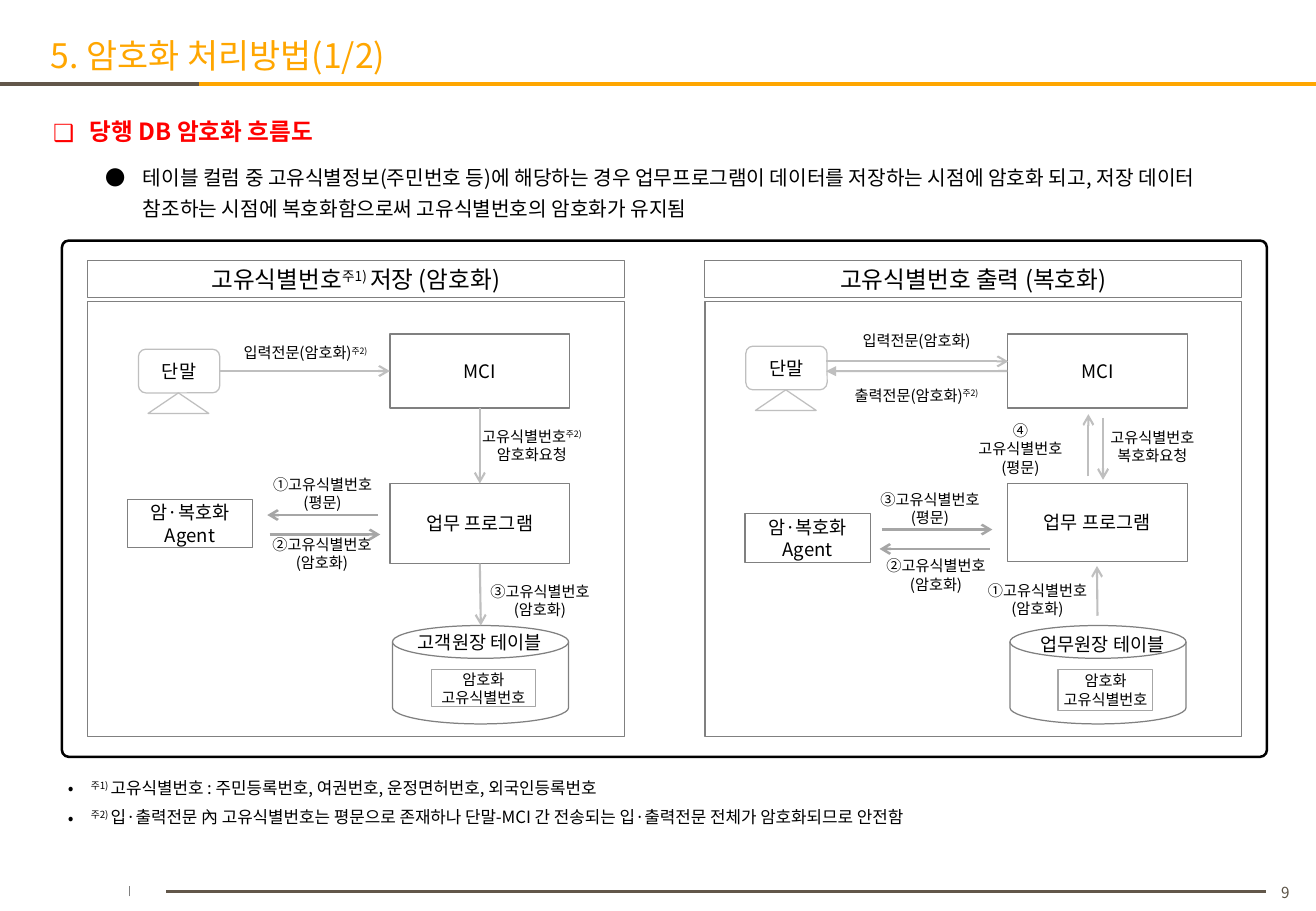
from copy import deepcopy
from pptx import Presentation
from pptx.dml.color import RGBColor
from pptx.enum.shapes import MSO_CONNECTOR, MSO_SHAPE
from pptx.enum.text import MSO_ANCHOR, MSO_AUTO_SIZE, PP_ALIGN
from pptx.oxml.ns import qn
from pptx.util import Pt
from lxml.etree import SubElement

FONT = "Noto Sans CJK KR"
INK = {"black": "000000", "red": "FF0000", "gold": "FFA600", "brown": "62574A",
       "page": "585043", "gray": "808080", "mid": "A6A6A6", "pale": "BFBFBF",
       "white": "FFFFFF"}
COLOR = {name: RGBColor.from_string(code) for name, code in INK.items()}

deck = Presentation()
deck.slide_width, deck.slide_height = Pt(780), Pt(540)
slide = deck.slides.add_slide(deck.slide_layouts[6])
shapes = slide.shapes


def write(para, text, size, ink, bold):
    """Fill a paragraph: ^ encloses raised text, a newline breaks the line."""
    for i, part in enumerate(text.split("^")):
        for j, line in enumerate(part.split("\n")):
            if j:
                para.add_line_break()
                para._p[-1].append(deepcopy(para.runs[-1]._r.rPr))
            if not line:
                continue
            run = para.add_run()
            run.text = line
            form = {"size": Pt(size), "name": FONT, "bold": bold}
            for key, value in form.items():
                setattr(run.font, key, value)
            run.font.color.rgb = COLOR[ink]
            mark = run._r.get_or_add_rPr()
            SubElement(mark, qn("a:ea"), typeface=FONT)
            if i % 2:
                mark.set("baseline", "30000")


def box(place, text="", size=9, kind=None, line=None, thick=0.75, ink="black",
        bold=False, wrap=True, pad=(0, 2.9), anchor=MSO_ANCHOR.MIDDLE,
        align=PP_ALIGN.CENTER):
    """Add a shape, or a text box when no kind is given; | parts paragraphs."""
    place = [Pt(n) for n in place]
    if kind is None:
        item = shapes.add_textbox(*place)
    else:
        item = shapes.add_shape(kind, *place)
        item.shadow.inherit = False
        item.fill.background()
        if line:
            item.line.color.rgb = COLOR[line]
            item.line.width = Pt(thick)
        else:
            item.line.fill.background()
    frame = item.text_frame
    side, edge = map(Pt, pad)
    form = {"word_wrap": wrap, "vertical_anchor": anchor,
            "margin_left": side, "margin_right": side,
            "margin_top": edge, "margin_bottom": edge}
    for key, value in form.items():
        setattr(frame, key, value)
    for i, part in enumerate(text.split("|")):
        para = frame.add_paragraph() if i else frame.paragraphs[0]
        para.alignment = align
        write(para, part, size, ink, bold)
    return item


RECT, ROUND = MSO_SHAPE.RECTANGLE, MSO_SHAPE.ROUNDED_RECTANGLE
DISK, STAND = MSO_SHAPE.FLOWCHART_MAGNETIC_DISK, MSO_SHAPE.ISOSCELES_TRIANGLE
TOP, LEFT = MSO_ANCHOR.TOP, PP_ALIGN.LEFT
WIDE = (7.2, 3.6)

# Title and page number
box((30, 23.4, 536, 22.3), "5. 암호화 처리방법(1/2)", 20, ink="gold",
    pad=(0, 0), anchor=TOP, align=LEFT).text_frame.paragraphs[0].line_spacing = 0.9
page = box((751, 523.4, 21.6, 10.8), "9", 9, RECT, ink="page", wrap=False,
           pad=(0, 0), anchor=MSO_ANCHOR.BOTTOM)
page.fill.solid()
page.fill.fore_color.rgb = COLOR["white"]

# Bulleted text
bodies = [
    ((24.5, 60.5, 720, 29.5), "당행 DB 암호화 흐름도", 14, "red", True, "❑", 21.6),
    ((55.4, 90, 689, 45.4),
     "테이블 컬럼 중 고유식별정보(주민번호 등)에 해당하는 경우 업무프로그램이 데이터를 "
     "저장하는 시점에 암호화 되고, 저장 데이터 참조하는 시점에 복호화함으로써 "
     "고유식별번호의 암호화가 유지됨", 12, "black", False, "●", 22.3),
    ((33.1, 453.6, 644.4, 41),
     "^주1) ^고유식별번호 : 주민등록번호, 여권번호, 운정면허번호, 외국인등록번호|"
     "^주2) ^입·출력전문 內 고유식별번호는 평문으로 존재하나 단말-MCI 간 전송되는 "
     "입·출력전문 전체가 암호화되므로 안전함", 10, "black", False, "•", 13.7),
]
for place, text, size, ink, bold, sign, dent in bodies:
    body = box(place, text, size, ink=ink, bold=bold, pad=WIDE, anchor=TOP, align=LEFT)
    body.text_frame.auto_size = MSO_AUTO_SIZE.SHAPE_TO_FIT_TEXT
    for i, para in enumerate(body.text_frame.paragraphs):
        para.line_spacing = 1.3
        if i:
            para.space_before = Pt(size * 0.2)
        props = para._p.get_or_add_pPr()
        props.set("marL", str(Pt(dent)))
        props.set("indent", str(-Pt(dent)))
        SubElement(props, qn("a:buFont"), typeface=FONT)
        SubElement(props, qn("a:buChar"), char=sign)

# Frame and the two panels
frame = box((36.7, 142.6, 714.2, 306), kind=ROUND, line="black", thick=1.5)
frame.adjustments[0] = 0.013
panels = [
    (0, "고유식별번호^주1) ^저장 (암호화)", 207, 82.1, 295.9, 47.5,
     "고객원장 테이블", (229.4, 370.8), (255.6, 396.7, 61.9, 22.3)),
    (366, "고유식별번호 출력 (복호화)", 205.2, 442.1, 304.6, 46.1,
     "업무원장 테이블", (598.5, 372.2), (627.1, 396.7, 56.2, 24.5)),
]
nodes = []
for shift, head, screen, desk, agent, tall, table, spot, cell in panels:
    box((51.8 + shift, 154.1, 318.2, 22.3), head, 14, RECT, "gray", 0.5,
        wrap=False, pad=(7.2, 2.9))
    box((51.8 + shift, 178.6, 318.2, 257.8), kind=RECT, line="gray")
    term = box((desk, screen, 48.2, 25.9), "단말", 11, ROUND, "pale",
               wrap=False, pad=WIDE)
    box((desk + 5.7, screen + 25.9, 36, 12.2), kind=STAND, line="pale")
    mci = box((231.1 + shift, 198, 106.6, 43.9), "MCI", 11, RECT, "gray", pad=WIDE)
    prog = box((231.1 + shift, 286.6, 106.6, tall), "업무 프로그램", 11, RECT,
               "gray", pad=WIDE)
    box((75.6 + shift, agent, 74.2, 28.8), "암·복호화\nAgent", 11, RECT, "gray",
        pad=WIDE)
    box((232.6 + shift, 370.8, 104.4, 58.3), kind=DISK, line="gray")
    box((*spot, 110, 19.4), table, 11, pad=WIDE)
    box(cell, "암호화\n고유식별번호", 9, RECT, "mid", wrap=False, pad=WIDE)
    nodes.append((term, mci, prog))
(term, mci, prog), (_, exit_mci, _) = nodes

# Arrow labels
labels = [
    (137.5, 199.4, 87.1, 19.4, "입력전문(암호화)^주2)^"),
    (282.2, 251.3, 66.2, 25.2, "고유식별번호^주2)^\n암호화요청"),
    (154.1, 283, 74.2, 19.4, "①고유식별번호\n(평문)"),
    (154.8, 318.2, 72, 19.4, "②고유식별번호\n(암호화)"),
    (282.2, 346.3, 75.6, 19.4, "③고유식별번호\n(암호화)"),
    (489.6, 192.2, 107.3, 19.4, "입력전문(암호화)"),
    (489.6, 224.6, 107.3, 19.4, "출력전문(암호화)^주2)^"),
    (576, 256.3, 57.6, 19.4, "④고유식별번호\n(평문)"),
    (658.1, 254.9, 49.7, 19.4, "고유식별번호복호화요청"),
    (515.5, 291.6, 71.3, 19.4, "③고유식별번호\n(평문)"),
    (517.7, 331.2, 74.2, 19.4, "②고유식별번호\n(암호화)"),
    (578.9, 345.6, 72, 19.4, "①고유식별번호\n(암호화)"),
]
for *place, text in labels:
    box(place, text)

# Rules and arrows: ends, colour, width, arrowhead, joined start, joined end
lines = [
    (118, 49.7, 780, 49.7, "gold", 2.25, None, None, None),
    (0, 49.7, 118, 49.7, "brown", 2.25, None, None, None),
    (98.6, 528.5, 750.2, 528.5, "brown", 1.5, None, None, None),
    (77, 531.4, 77, 524.9, "gray", 0.5, None, None, None),
    (130.3, 220, 231.1, 220, "pale", 1.25, "arrow", (term, 3), (mci, 1)),
    (284.4, 241.9, 284.4, 286.6, "pale", 1.25, "arrow", (mci, 2), (prog, 0)),
    (284.4, 334.1, 285, 370.8, "pale", 1.25, "arrow", (prog, 2), None),
    (223.9, 305.3, 158.4, 305.3, "mid", 1.5, "arrow", None, None),
    (159.8, 316.8, 225.4, 316.8, "mid", 1.5, "arrow", None, None),
    (489.6, 214.2, 597.6, 214.2, "pale", 1.25, "arrow", None, None),
    (597.1, 220, 489.6, 220, "pale", 1.25, "triangle", (exit_mci, 1), None),
    (645.1, 282.2, 645.1, 245.5, "pale", 1.25, "arrow", None, None),
    (653.8, 247.7, 653.8, 284.4, "pale", 1.25, "arrow", None, None),
    (650.5, 365, 650.2, 335.5, "pale", 1.25, "arrow", None, None),
    (522.7, 313.9, 588.2, 313.9, "mid", 1.5, "arrow", None, None),
    (586.8, 325.4, 521.3, 325.4, "mid", 1.5, "arrow", None, None),
]
for *ends, ink, thick, tip, start, stop in lines:
    link = shapes.add_connector(MSO_CONNECTOR.STRAIGHT, *[Pt(n) for n in ends])
    link.line.color.rgb = COLOR[ink]
    link.line.width = Pt(thick)
    if tip:
        SubElement(link.line._get_or_add_ln(), qn("a:tailEnd"), type=tip)
    SubElement(link._element.spPr, qn("a:effectLst"))
    if start:
        link.begin_connect(*start)
    if stop:
        link.end_connect(*stop)

deck.save("out.pptx")
